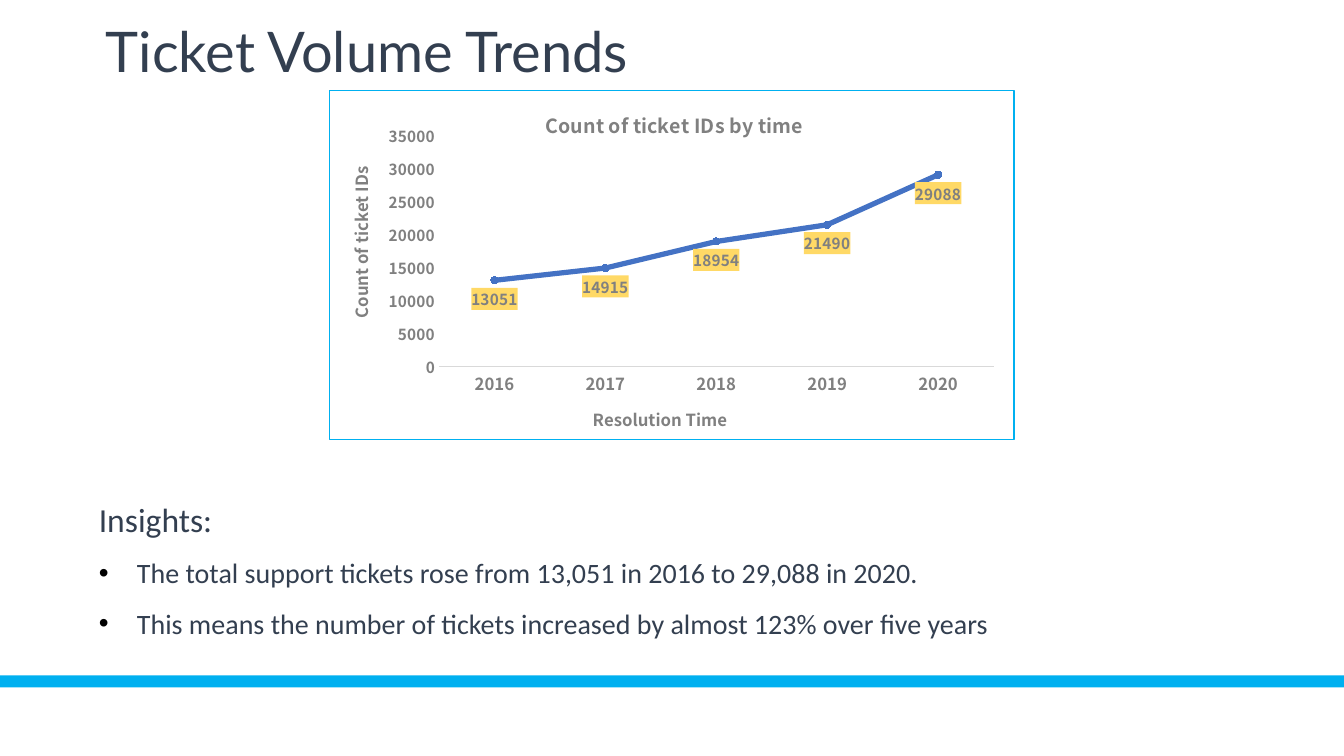
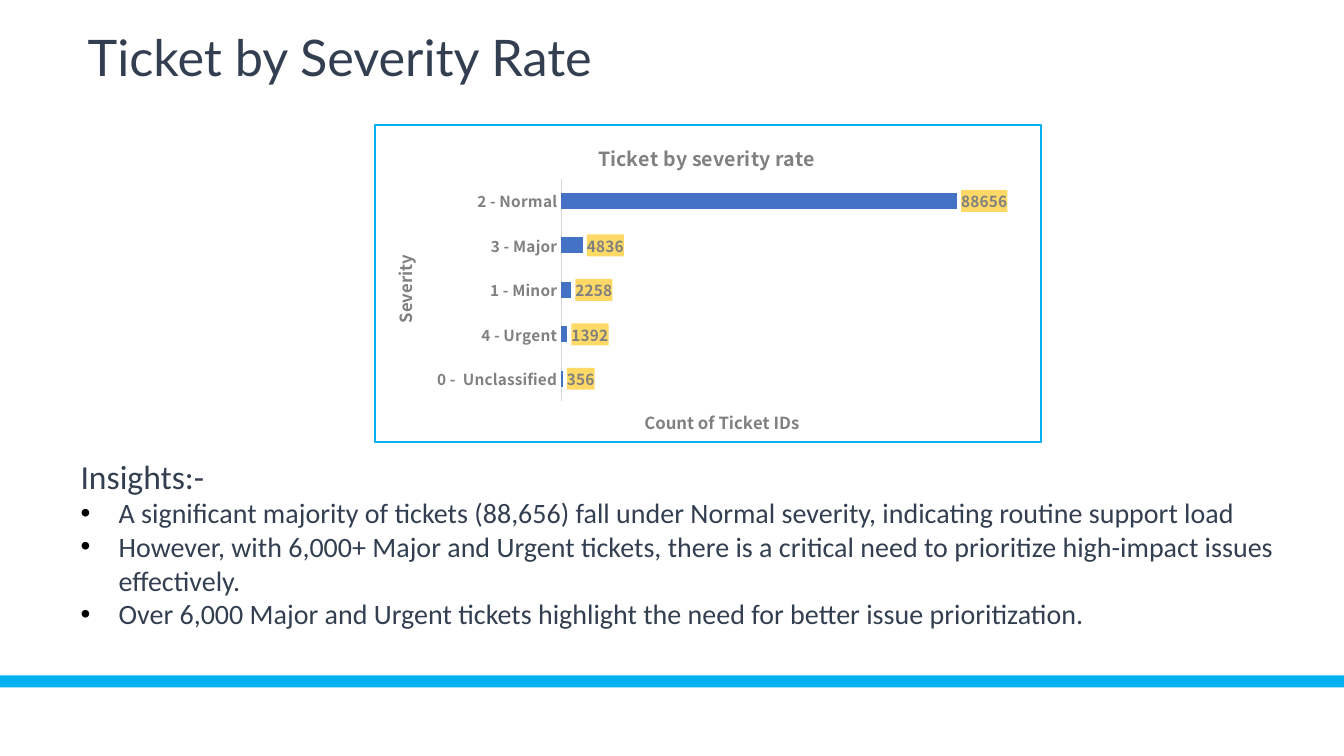
from dataclasses import dataclass

from pptx import Presentation
from pptx.chart.chart import Chart
from pptx.chart.data import CategoryChartData
from pptx.dml.color import RGBColor
from pptx.enum.chart import XL_CHART_TYPE, XL_LABEL_POSITION, XL_MARKER_STYLE, XL_TICK_MARK
from pptx.enum.shapes import MSO_SHAPE
from pptx.enum.text import MSO_ANCHOR, MSO_AUTO_SIZE, PP_ALIGN
from pptx.oxml import parse_xml
from pptx.oxml.ns import nsdecls
from pptx.slide import Slide
from pptx.util import Cm, Pt

LINE = XL_CHART_TYPE.LINE_MARKERS
BAR = XL_CHART_TYPE.BAR_CLUSTERED
BELOW = XL_LABEL_POSITION.BELOW
OUTSIDE_END = XL_LABEL_POSITION.OUTSIDE_END
CIRCLE = XL_MARKER_STYLE.CIRCLE
NO_TICK = XL_TICK_MARK.NONE
RECTANGLE = MSO_SHAPE.RECTANGLE
TOP = MSO_ANCHOR.TOP
NO_FIT = MSO_AUTO_SIZE.NONE
LEFT = PP_ALIGN.LEFT

SKY = RGBColor(0x00, 0xB0, 0xF0)
NAVY = RGBColor(0x33, 0x3F, 0x50)
GREY = RGBColor(0x80, 0x80, 0x80)
PALE_GREY = RGBColor(0xD9, 0xD9, 0xD9)
BLUE = RGBColor(0x44, 0x72, 0xC4)
YELLOW = RGBColor(0xFF, 0xD9, 0x66)
BLACK = RGBColor(0x00, 0x00, 0x00)

TITLE_FONT = "Lato"
BODY_FONT = "Calibri"
CHART_FONT = "Noto Sans CJK SC"
SLIDE_WIDTH, SLIDE_HEIGHT = Cm(33.87), Cm(19.05)
BULLET_INDENT = Cm(0.96)


@dataclass(frozen=True)
class Box:
    """Position and size in centimetres."""

    left: float
    top: float
    width: float
    height: float

    def lengths(self) -> tuple:
        """Return the four values as slide lengths."""
        return Cm(self.left), Cm(self.top), Cm(self.width), Cm(self.height)


@dataclass(frozen=True)
class ChartTitle:
    """Wording of a chart or axis title and its place within the chart."""

    text: str
    x: float
    y: float
    size: int = 12


@dataclass(frozen=True)
class TicketChart:
    """Data and look of one ticket count chart."""

    kind: int
    box: Box
    plot: tuple
    title: ChartTitle
    category_title: ChartTitle
    value_title: ChartTitle
    counts: dict
    axis_maximum: int
    category_size: int
    label_position: int


@dataclass(frozen=True)
class InsightSlide:
    """Content of one slide: title, chart and insights."""

    title: str
    title_size: int
    title_box: Box
    chart: TicketChart
    heading: str
    insights: tuple
    insights_box: Box
    line_spacing: float


SLIDES = (
    InsightSlide(
        title="Ticket Volume Trends",
        title_size=40,
        title_box=Box(2.49, 0.53, 15.67, 2.18),
        chart=TicketChart(
            kind=LINE,
            box=Box(8.28, 2.26, 17.3, 8.84),
            plot=(0.16, 0.13, 0.81, 0.66),
            title=ChartTitle("Count of ticket IDs by time", 0.31, 0.04, 14),
            category_title=ChartTitle("Resolution Time", 0.38, 0.89),
            value_title=ChartTitle("Count of ticket IDs", 0.02, 0.21),
            counts={"2016": 13051, "2017": 14915, "2018": 18954, "2019": 21490, "2020": 29088},
            axis_maximum=35000,
            category_size=12,
            label_position=BELOW,
        ),
        heading="Insights:",
        insights=(
            "The total support tickets rose from 13,051 in 2016 to 29,088 in 2020.",
            "This means the number of tickets increased by almost 123% over five years",
        ),
        insights_box=Box(2.49, 12.57, 29.39, 4.45),
        line_spacing=1.5,
    ),
    InsightSlide(
        title="Ticket by Severity Rate",
        title_size=36,
        title_box=Box(2.03, 0.76, 14.76, 1.78),
        chart=TicketChart(
            kind=BAR,
            box=Box(9.42, 3.12, 16.84, 8.05),
            plot=(0.28, 0.17, 0.67, 0.7),
            title=ChartTitle("Ticket by severity rate", 0.33, 0.04, 14),
            category_title=ChartTitle("Severity", 0.02, 0.4),
            value_title=ChartTitle("Count of Ticket IDs", 0.4, 0.88),
            counts={
                "0 -  Unclassified": 356,
                "4 - Urgent": 1392,
                "1 - Minor": 2258,
                "3 - Major": 4836,
                "2 - Normal": 88656,
            },
            axis_maximum=100000,
            category_size=11,
            label_position=OUTSIDE_END,
        ),
        heading="Insights:-",
        insights=(
            "A significant majority of tickets (88,656) fall under Normal severity, "
            "indicating routine support load",
            "However, with 6,000+ Major and Urgent tickets, there is a critical need to "
            "prioritize high-impact issues effectively.",
            "Over 6,000 Major and Urgent tickets highlight the need for better issue prioritization.",
        ),
        insights_box=Box(2.03, 11.48, 31.8, 5.31),
        line_spacing=1.0,
    ),
)


def format_font(font, *, size: float, name: str = CHART_FONT, color: RGBColor = GREY,
                bold: bool = True) -> None:
    """Set face, size, colour and weight."""
    font.name, font.size, font.bold = name, Pt(size), bold
    font.color.rgb = color


def write_text(paragraph, text: str, **font_format) -> None:
    """Add one formatted run to a paragraph."""
    run = paragraph.add_run()
    run.text = text
    format_font(run.font, **font_format)


def prepare_frame(placeholder, box: Box, inset_x: float, inset_y: float):
    """Move a placeholder, set its margins and return its text frame."""
    placeholder.left, placeholder.top, placeholder.width, placeholder.height = box.lengths()
    frame = placeholder.text_frame
    frame.word_wrap = True
    frame.auto_size = NO_FIT
    frame.vertical_anchor = TOP
    frame.margin_left = frame.margin_right = Cm(inset_x)
    frame.margin_top = frame.margin_bottom = Cm(inset_y)
    return frame


def set_bullet(paragraph, bulleted: bool) -> None:
    """Give a paragraph a black hanging bullet, or none."""
    properties = paragraph._p.get_or_add_pPr()
    indent = BULLET_INDENT if bulleted else 0
    properties.set("marL", str(indent))
    properties.set("indent", str(-indent))
    space = nsdecls("a")
    marks = (
        f'<a:buClr {space}><a:srgbClr val="{BLACK}"/></a:buClr>',
        f'<a:buFont {space} typeface="Arial"/>',
        f'<a:buChar {space} char="•"/>',
    ) if bulleted else (f"<a:buNone {space}/>",)
    for mark in marks:
        properties.append(parse_xml(mark))


def add_title(slide: Slide, content: InsightSlide) -> None:
    """Fill the title placeholder."""
    frame = prepare_frame(slide.shapes.title, content.title_box, 0.18, 0.08)
    paragraph = frame.paragraphs[0]
    paragraph.alignment = LEFT
    paragraph.line_spacing = 0.9
    write_text(paragraph, content.title, size=content.title_size, name=TITLE_FONT,
               color=NAVY, bold=False)


def add_insights(slide: Slide, content: InsightSlide) -> None:
    """Fill the body placeholder with a heading and bulleted insights."""
    frame = prepare_frame(slide.placeholders[1], content.insights_box, 0, 0)
    for index, text in enumerate((content.heading, *content.insights)):
        bulleted = index > 0
        paragraph = frame.add_paragraph() if bulleted else frame.paragraphs[0]
        paragraph.alignment = LEFT
        paragraph.space_before = paragraph.space_after = Pt(0)
        paragraph.line_spacing = content.line_spacing if bulleted else 1.0
        set_bullet(paragraph, bulleted)
        write_text(paragraph, text, size=20 if bulleted else 24, name=BODY_FONT,
                   color=NAVY, bold=False)


def add_band(slide: Slide) -> None:
    """Draw the band across the foot of the slide."""
    band = slide.shapes.add_shape(RECTANGLE, 0, Cm(17.02), SLIDE_WIDTH, Cm(0.3))
    band.shadow.inherit = False
    band.fill.solid()
    band.fill.fore_color.rgb = SKY
    band.line.fill.background()


def set_layout(parent, position: int, target: str, **fractions: float) -> None:
    """Place a chart part by fractions of the chart area."""
    for old in parent.xpath("./c:layout"):
        parent.remove(old)
    modes = "".join(f'<c:{axis}Mode val="edge"/>' for axis in "xy")
    values = "".join(f'<c:{key} val="{value}"/>' for key, value in fractions.items())
    parent.insert(position, parse_xml(
        f'<c:layout {nsdecls("c")}><c:manualLayout>{target}{modes}{values}'
        "</c:manualLayout></c:layout>"))


def write_chart_title(frame, title: ChartTitle, element, upright: bool = False) -> None:
    """Write and place a chart or axis title."""
    write_text(frame.paragraphs[0], title.text, size=title.size)
    set_layout(element, 1, "", x=title.x, y=title.y)
    if upright:
        body = element.xpath(".//a:bodyPr")[0]
        body.set("rot", "-5400000")
        body.set("vert", "horz")


def style_axes(chart: Chart, content: TicketChart) -> None:
    """Format both axes and their titles."""
    is_line = content.kind == LINE
    category, value = chart.category_axis, chart.value_axis
    for axis, title, tag, size, upright in (
        (category, content.category_title, "catAx", content.category_size, not is_line),
        (value, content.value_title, "valAx", 11, is_line),
    ):
        axis.major_tick_mark = axis.minor_tick_mark = NO_TICK
        axis.has_major_gridlines = False
        format_font(axis.tick_labels.font, size=size)
        frame = axis.axis_title.text_frame
        write_chart_title(frame, title, chart.element.xpath(f".//c:{tag}/c:title")[0], upright)
    category.format.line.color.rgb = PALE_GREY
    category.format.line.width = Pt(0.75)
    value.format.line.fill.background()
    value.minimum_scale, value.maximum_scale = 0, content.axis_maximum
    value.tick_labels.number_format = "0"
    value.tick_labels.number_format_is_linked = False
    value.visible = is_line


def style_series(chart: Chart, content: TicketChart) -> None:
    """Format the series and its highlighted labels."""
    plot = chart.plots[0]
    plot.vary_by_categories = False
    series = plot.series[0]
    if content.kind == LINE:
        series.smooth = False
        series.format.line.color.rgb = BLUE
        series.format.line.width = Pt(3.75)
        series.marker.style, series.marker.size = CIRCLE, 5
        series.marker.format.line.color.rgb = BLUE
        fill = series.marker.format.fill
    else:
        plot.gap_width = 182
        fill = series.format.fill
    fill.solid()
    fill.fore_color.rgb = BLUE
    labels = series.data_labels
    labels.show_value = True
    labels.position = content.label_position
    labels.number_format, labels.number_format_is_linked = "0", False
    format_font(labels.font, size=11)
    chart.element.xpath(".//c:dLbls/c:txPr")[0].addprevious(parse_xml(
        f'<c:spPr {nsdecls("c", "a")}><a:solidFill><a:srgbClr val="{YELLOW}"/>'
        "</a:solidFill></c:spPr>"))


def add_ticket_chart(slide: Slide, content: TicketChart) -> None:
    """Add a framed ticket count chart."""
    data = CategoryChartData(number_format="0")
    data.categories = list(content.counts)
    data.add_series("Series 1", list(content.counts.values()))
    chart = slide.shapes.add_chart(content.kind, *content.box.lengths(), data).chart
    chart.has_legend = False
    format_font(chart.font, size=11)
    chart.element.xpath("./c:txPr")[0].addprevious(parse_xml(
        f'<c:spPr {nsdecls("c", "a")}><a:noFill/><a:ln w="{Pt(1.25)}"><a:solidFill>'
        f'<a:srgbClr val="{SKY}"/></a:solidFill></a:ln></c:spPr>'))
    frame = chart.chart_title.text_frame
    write_chart_title(frame, content.title, chart.element.xpath("./c:chart/c:title")[0])
    style_axes(chart, content)
    style_series(chart, content)
    x, y, w, h = content.plot
    set_layout(chart.element.xpath(".//c:plotArea")[0], 0,
               '<c:layoutTarget val="inner"/>', x=x, y=y, w=w, h=h)


def main() -> None:
    """Build the presentation."""
    presentation = Presentation()
    presentation.slide_width, presentation.slide_height = SLIDE_WIDTH, SLIDE_HEIGHT
    for content in SLIDES:
        slide = presentation.slides.add_slide(presentation.slide_layouts[1])
        add_band(slide)
        add_title(slide, content)
        add_ticket_chart(slide, content.chart)
        add_insights(slide, content)
    presentation.save("out.pptx")


if __name__ == "__main__":
    main()
